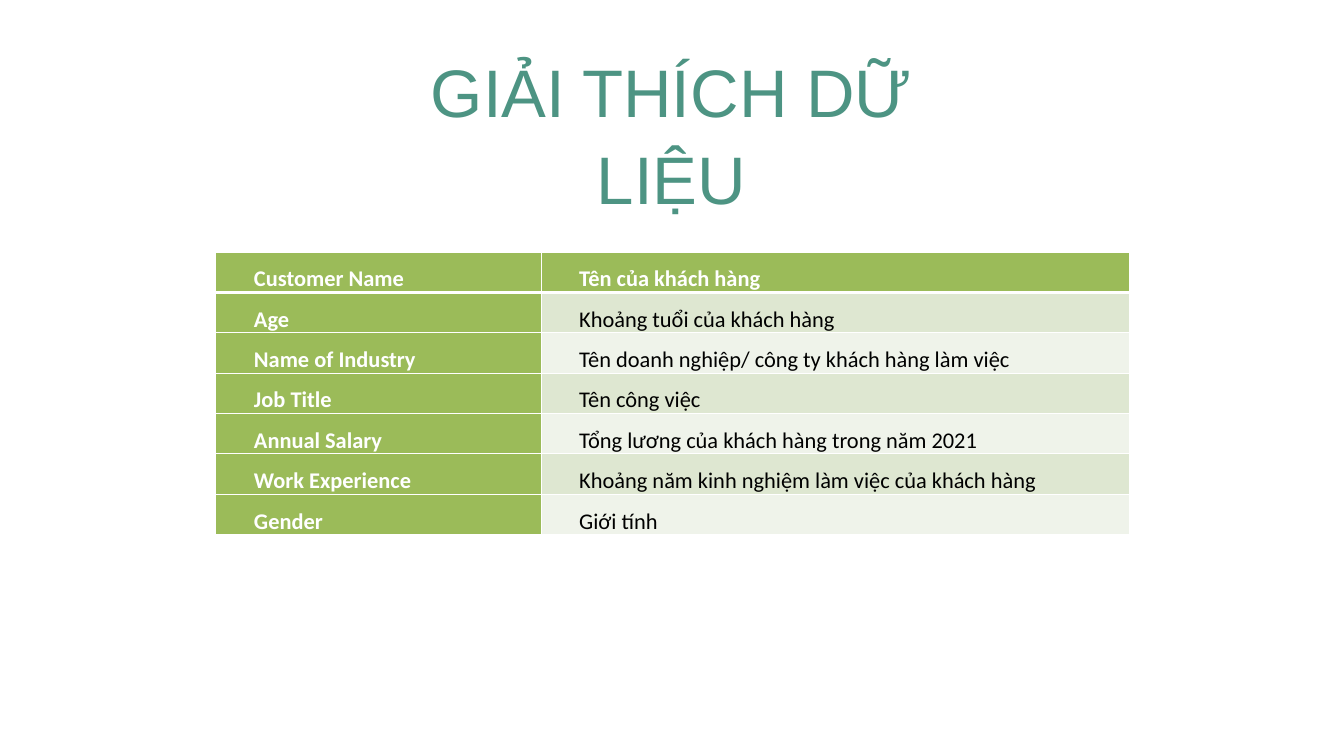
from lxml import etree
from pptx import Presentation
from pptx.dml.color import RGBColor
from pptx.enum.text import MSO_AUTO_SIZE, PP_ALIGN
from pptx.oxml.ns import qn
from pptx.util import Inches, Pt

TEAL = RGBColor(0x4D, 0x94, 0x83)
GREEN = RGBColor(0x9B, 0xBB, 0x59)
BAND_DARK = RGBColor(0xDE, 0xE7, 0xD1)
BAND_LIGHT = RGBColor(0xEF, 0xF3, 0xEA)
WHITE = RGBColor(0xFF, 0xFF, 0xFF)
BLACK = RGBColor(0, 0, 0)

COLUMN_WIDTHS = (4.84, 8.75)
ROW_HEIGHT = 0.53
FIELDS = [
    ("Customer Name", "Tên của khách hàng"),
    ("Age", "Khoảng tuổi của khách hàng"),
    ("Name of Industry", "Tên doanh nghiệp/ công ty khách hàng làm việc"),
    ("Job Title", "Tên công việc"),
    ("Annual Salary", "Tổng lương của khách hàng trong năm 2021"),
    ("Work Experience", "Khoảng năm kinh nghiệm làm việc của khách hàng"),
    ("Gender", "Giới tính"),
]


def write_text(frame, text, *, font, size, color, align, line_spacing,
               bold=False, before=0, after=0, indent=0):
    para = frame.paragraphs[0]
    para.alignment = align
    para.line_spacing = line_spacing
    para.space_before = Pt(before)
    para.space_after = Pt(after)
    if indent:
        properties = para._p.get_or_add_pPr()
        properties.set("marL", "0")
        properties.set("indent", str(Inches(indent)))
    span = para.add_run()
    span.text = text
    span.font.name = font
    span.font.size = Pt(size)
    span.font.bold = bold
    span.font.color.rgb = color


def add_title(page, text):
    box = page.shapes.add_textbox(Inches(5.19), Inches(0.65), Inches(9.61), Inches(1.29))
    frame = box.text_frame
    frame.word_wrap = True
    frame.auto_size = MSO_AUTO_SIZE.SHAPE_TO_FIT_TEXT
    frame.margin_left = frame.margin_right = frame.margin_top = frame.margin_bottom = 0
    write_text(frame, text, font="Arial", size=72, color=TEAL,
               align=PP_ALIGN.CENTER, line_spacing=Pt(93.6))


def set_borders(cell, color, top=1, bottom=1):
    properties = cell._tc.get_or_add_tcPr()
    for side, width in (("L", 1), ("R", 1), ("T", top), ("B", bottom)):
        line = etree.SubElement(properties, qn(f"a:ln{side}"), w=str(Pt(width)))
        fill = etree.SubElement(line, qn("a:solidFill"))
        etree.SubElement(fill, qn("a:srgbClr"), val=str(color))


def format_cell(cell, text, row, column):
    """Style a cell: green header row and first column, banded elsewhere."""
    heading = row == 0 or column == 0
    band = BAND_DARK if row % 2 else BAND_LIGHT
    set_borders(cell, WHITE, top=3 if row == 1 else 1, bottom=3 if row == 0 else 1)
    cell.fill.solid()
    cell.fill.fore_color.rgb = GREEN if heading else band
    cell.margin_left = cell.margin_right = Inches(0.07)
    cell.margin_top = cell.margin_bottom = 0
    write_text(cell.text_frame, text, font="Calibri", size=24, bold=heading,
               color=WHITE if heading else BLACK, align=PP_ALIGN.JUSTIFY,
               line_spacing=1.5, before=6, after=3, indent=0.5)


def add_field_table(page, fields):
    table = page.shapes.add_table(
        len(fields), len(COLUMN_WIDTHS), Inches(3.21), Inches(3.75),
        Inches(sum(COLUMN_WIDTHS)), Inches(ROW_HEIGHT * len(fields))).table
    for column, width in zip(table.columns, COLUMN_WIDTHS):
        column.width = Inches(width)
    for row, texts in enumerate(fields):
        for column, text in enumerate(texts):
            format_cell(table.cell(row, column), text, row, column)


def main():
    deck = Presentation()
    deck.slide_width = Inches(20)
    deck.slide_height = Inches(11.25)
    page = deck.slides.add_slide(deck.slide_layouts[6])
    add_title(page, "GIẢI THÍCH DỮ LIỆU")
    add_field_table(page, FIELDS)
    deck.save("out.pptx")


if __name__ == "__main__":
    main()
